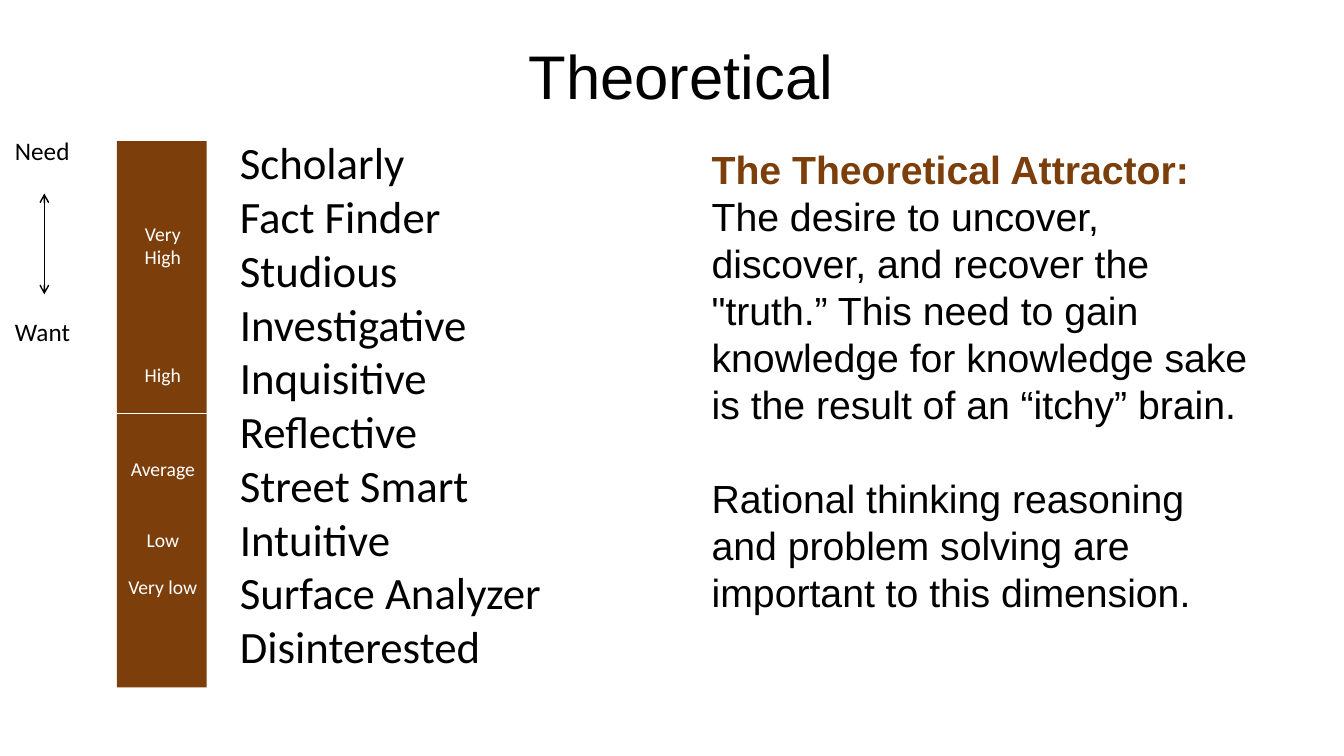
"""Builds the Theoretical slide: a trait list beside an intensity scale and a definition."""
from dataclasses import dataclass

from lxml import etree
from pptx import Presentation
from pptx.dml.color import RGBColor
from pptx.enum.shapes import MSO_CONNECTOR, MSO_SHAPE
from pptx.enum.text import MSO_ANCHOR, MSO_AUTO_SIZE, PP_ALIGN
from pptx.oxml.ns import qn
from pptx.util import Pt

EMU_PER_PX = 9144
LINE_RATIO = 1.2
TITLE_ONLY = 5
STRAIGHT = MSO_CONNECTOR.STRAIGHT
RECTANGLE = MSO_SHAPE.RECTANGLE
LEFT, CENTER = PP_ALIGN.LEFT, PP_ALIGN.CENTER
TOP, MIDDLE = MSO_ANCHOR.TOP, MSO_ANCHOR.MIDDLE
NO_AUTO_SIZE = MSO_AUTO_SIZE.NONE
BROWN, BLACK, WHITE = "7C3E0A", "000000", "FFFFFF"


@dataclass(frozen=True)
class Span:
    """A run of text with its colour and weight."""
    text: str
    color: str = BLACK
    bold: bool = False


@dataclass(frozen=True)
class Para:
    """A paragraph and the number of line heights left free above it."""
    spans: tuple[Span, ...]
    gap: int = 0


@dataclass(frozen=True)
class Block:
    """A text block: place in px, type style and paragraphs."""
    left: int
    top: int
    width: int
    height: int
    font: str
    size: int
    paras: tuple[Para, ...]
    align: PP_ALIGN = LEFT
    wrap: bool = True


@dataclass(frozen=True)
class Line:
    """A straight line in px, with optional arrowheads at both ends."""
    start: tuple[int, int]
    end: tuple[int, int]
    color: str
    arrows: bool = False


def px(length: int) -> int:
    """Turn px into EMU."""
    return length * EMU_PER_PX


def rgb(color: str) -> RGBColor:
    """Turn a hex string into a colour."""
    return RGBColor.from_string(color)


def plain(text: str, gap: int = 0, color: str = BLACK) -> Para:
    """Make a paragraph of one span."""
    return Para((Span(text, color),), gap)


def fill_text(box, block: Block, anchor: MSO_ANCHOR = TOP) -> None:
    """Place a text shape and write its block run by run."""
    box.left, box.top = px(block.left), px(block.top)
    box.width, box.height = px(block.width), px(block.height)
    frame = box.text_frame
    frame.auto_size = NO_AUTO_SIZE
    frame.word_wrap = block.wrap
    frame.vertical_anchor = anchor
    line_height = block.size * LINE_RATIO
    for index, para in enumerate(block.paras):
        paragraph = frame.add_paragraph() if index else frame.paragraphs[0]
        paragraph.alignment = block.align
        paragraph.line_spacing = Pt(line_height)
        paragraph.space_before = Pt(para.gap * line_height)
        for span in para.spans:
            run = paragraph.add_run()
            run.text = span.text
            run.font.name = block.font
            run.font.size = Pt(block.size)
            run.font.bold = span.bold
            run.font.color.rgb = rgb(span.color)


def add_block(page, block: Block) -> None:
    """Add a text box for a block."""
    fill_text(page.shapes.add_textbox(0, 0, 0, 0), block)


def add_bar(page, left: int, top: int, width: int, height: int) -> None:
    """Add the brown bar of the scale."""
    bar = page.shapes.add_shape(RECTANGLE, px(left), px(top), px(width), px(height))
    bar.shadow.inherit = False
    bar.fill.solid()
    bar.fill.fore_color.rgb = rgb(BROWN)
    bar.line.fill.background()


def add_line(page, line: Line) -> None:
    """Add a one-point line without shadow."""
    connector = page.shapes.add_connector(
        STRAIGHT, *map(px, line.start), *map(px, line.end))
    connector.line.color.rgb = rgb(line.color)
    connector.line.width = Pt(1)
    if line.arrows:
        outline = connector.line._get_or_add_ln()
        for tag in ("a:headEnd", "a:tailEnd"):
            etree.SubElement(outline, qn(tag), type="arrow")
    etree.SubElement(connector._element.spPr, qn("a:effectLst"))


TITLE = Block(513, 32, 325, 84, "Arial", 44, (plain("Theoretical"),), CENTER, False)

TRAITS = Block(228, 129, 322, 549, "Calibri", 32, tuple(map(plain, (
    "Scholarly", "Fact Finder", "Studious", "Investigative", "Inquisitive",
    "Reflective", "Street Smart", "Intuitive", "Surface Analyzer",
    "Disinterested"))), wrap=False)

LEVELS = Block(114, 215, 95, 364, "Calibri", 14, tuple(
    plain(name, gap, WHITE) for name, gap in (
        ("Very High", 0), ("High", 4), ("Average", 3), ("Low", 2), ("Very low", 1))),
    CENTER)

DRIVE = Block(5, 129, 75, 222, "Calibri", 18,
              (plain("Need"), plain("Want", 5)), wrap=False)

DEFINITION = Block(696, 139, 551, 528, "Arial", 28, (
    Para((
        Span("The Theoretical Attractor: ", BROWN, True),
        Span("The desire to uncover, discover, and recover the \"truth.” This need "
             "to gain knowledge for knowledge sake is the result of an “itchy” brain."),
    )),
    plain("Rational thinking reasoning and problem solving are important to this "
          "dimension.", 1),
))

LINES = (
    Line((116, 410), (205, 410), WHITE),
    Line((44, 192), (44, 292), BLACK, True),
)


def main() -> None:
    """Build the deck and save it."""
    deck = Presentation()
    deck.slide_width, deck.slide_height = px(1333), px(750)
    page = deck.slides.add_slide(deck.slide_layouts[TITLE_ONLY])
    fill_text(page.shapes.title, TITLE, MIDDLE)
    add_bar(page, 116, 140, 89, 542)
    for line in LINES:
        add_line(page, line)
    for block in (TRAITS, LEVELS, DRIVE, DEFINITION):
        add_block(page, block)
    deck.save("out.pptx")


if __name__ == "__main__":
    main()
